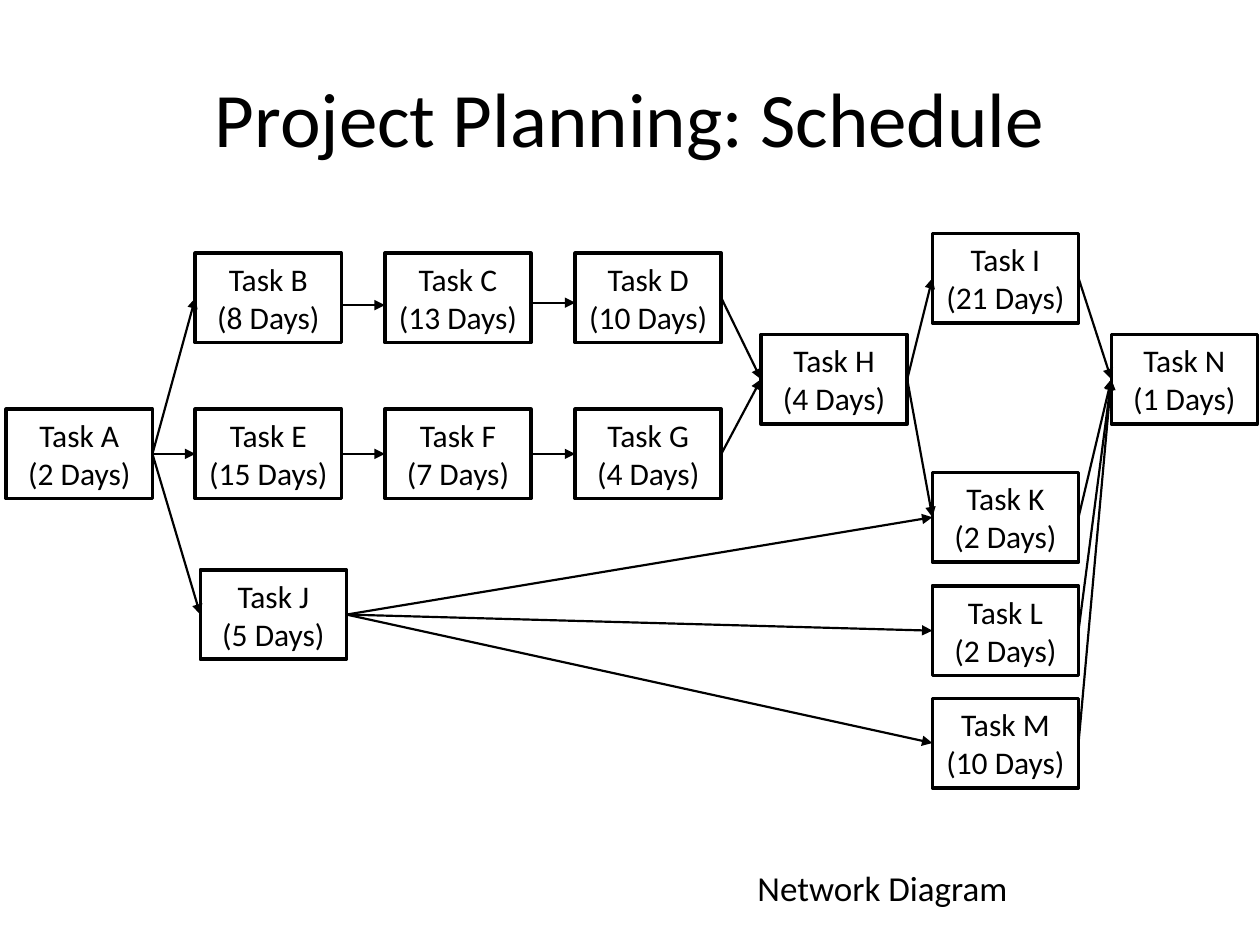
from pptx import Presentation
from pptx.dml.color import RGBColor
from pptx.enum.shapes import MSO_CONNECTOR, MSO_SHAPE
from pptx.enum.text import MSO_ANCHOR, PP_ALIGN
from pptx.oxml.ns import qn
from pptx.util import Inches, Pt
from lxml.etree import SubElement

BLACK = RGBColor(0, 0, 0)
WHITE = RGBColor(255, 255, 255)
FONT = "Calibri"
LEFT_SITE, RIGHT_SITE = 1, 3

# Task size, and left and top edges of the grid, in percent of the diagram box
TASK_WIDTH, TASK_HEIGHT = 11.6, 9.47
COLUMNS = {"start": 0.5, "first": 15.5, "branch": 15.9, "second": 30.55,
           "third": 45.65, "merge": 60.4, "parallel": 74, "finish": 88.2}
ROWS = {"top": 24.7, "upper": 26.8, "merge": 35.4, "middle": 43.3,
        "k": 50, "branch": 60.3, "l": 62, "m": 73.9}

TASKS = {
    "A": (2, "start", "middle"),
    "B": (8, "first", "upper"),
    "C": (13, "second", "upper"),
    "D": (10, "third", "upper"),
    "E": (15, "first", "middle"),
    "F": (7, "second", "middle"),
    "G": (4, "third", "middle"),
    "H": (4, "merge", "merge"),
    "I": (21, "parallel", "top"),
    "J": (5, "branch", "branch"),
    "K": (2, "parallel", "k"),
    "L": (2, "parallel", "l"),
    "M": (10, "parallel", "m"),
    "N": (1, "finish", "merge"),
}
FOLLOWERS = {"A": "BEJ", "B": "C", "C": "D", "D": "H", "E": "F", "F": "G",
             "G": "H", "H": "IK", "I": "N", "J": "KLM", "K": "N", "L": "N",
             "M": "N"}
# Arrows that run slightly below the middle of their tasks, in percent
ARROW_DROPS = {"BC": 0.75, "CD": 0.5}


def write_centred(frame, text, size, anchor):
    """Fill a text frame with centred black text, one paragraph a line."""
    frame.text = text
    frame.word_wrap = True
    frame.vertical_anchor = anchor
    for paragraph in frame.paragraphs:
        paragraph.alignment = PP_ALIGN.CENTER
        for run in paragraph.runs:
            run.font.name = FONT
            run.font.size = Pt(size)
            run.font.color.rgb = BLACK


def add_label(slide, box, text, size, anchor=MSO_ANCHOR.TOP):
    """Place a line of plain text in a box."""
    label = slide.shapes.add_textbox(*box)
    write_centred(label.text_frame, text, size, anchor)


def add_task(slide, box, text):
    """Draw one outlined task in a box."""
    task = slide.shapes.add_shape(MSO_SHAPE.RECTANGLE, *box)
    task.shadow.inherit = False
    task.fill.solid()
    task.fill.fore_color.rgb = WHITE
    task.line.color.rgb = BLACK
    task.line.width = Pt(2)
    frame = task.text_frame
    frame.margin_left = frame.margin_right = Inches(0.05)
    write_centred(frame, text, 18, MSO_ANCHOR.MIDDLE)
    return task


def add_arrow(slide, task, follower, drop):
    """Draw an arrow from the right of a task to the left of its follower."""
    y = task.top + task.height // 2 + drop
    arrow = slide.shapes.add_connector(
        MSO_CONNECTOR.STRAIGHT, task.left + task.width, y, follower.left, y)
    if not drop:
        arrow.begin_connect(task, RIGHT_SITE)
        arrow.end_connect(follower, LEFT_SITE)
    arrow.line.color.rgb = BLACK
    arrow.line.width = Pt(1.25)
    SubElement(arrow.line._get_or_add_ln(), qn("a:tailEnd"), type="triangle")
    SubElement(arrow._element.spPr, qn("a:effectLst"))


def add_network(slide, box):
    """Draw the tasks on their grid in a box, and the arrows between them."""
    left, top, width, height = box

    def across(percent):
        return round(width * percent / 100)

    def down(percent):
        return round(height * percent / 100)

    tasks = {}
    for letter, (days, column, row) in TASKS.items():
        task_box = (left + across(COLUMNS[column]), top + down(ROWS[row]),
                    across(TASK_WIDTH), down(TASK_HEIGHT))
        unit = "Day" if letter == "" else "Days"
        tasks[letter] = add_task(
            slide, task_box, f"Task {letter}\n({days} {unit})")
    for letter, followers in FOLLOWERS.items():
        for follower in followers:
            drop = down(ARROW_DROPS.get(letter + follower, 0))
            add_arrow(slide, tasks[letter], tasks[follower], drop)


def build_schedule(slide, width, height):
    """Lay out the title, the caption and the network on the slide."""
    def share(*percents):
        return [round(side * percent / 100) for side, percent
                in zip((width, height, width, height), percents)]

    add_label(slide, share(5, 4, 90, 16.67), "Project Planning: Schedule",
              44, MSO_ANCHOR.MIDDLE)
    add_label(slide, share(41.7, 91.07, 56.7, 5.87), "Network Diagram", 20)
    add_network(slide, share(0, 0, 100, 100))


deck = Presentation()
deck.slide_width, deck.slide_height = Inches(10), Inches(7.5)
schedule = deck.slides.add_slide(deck.slide_layouts[6])
build_schedule(schedule, deck.slide_width, deck.slide_height)
deck.save("out.pptx")
